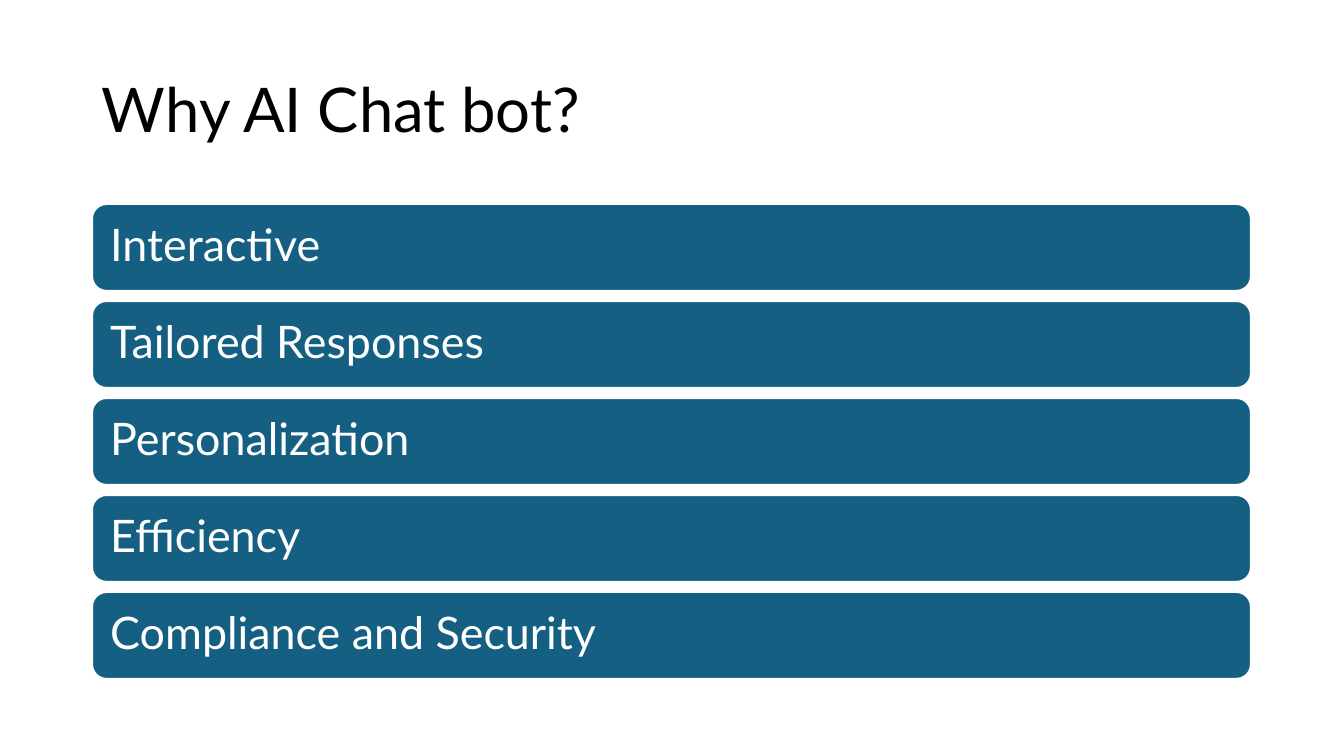
"""Build the "Why AI Chat bot?" slide with its five stacked benefit bars."""
import pptx
import pptx.dml.color
import pptx.enum.shapes
import pptx.enum.text
import pptx.util

PX = 9144000 / 1008
COLORS = {"title": "000000", "bar": "156082", "white": "FFFFFF"}
BENEFITS = [
    "Interactive",
    "Tailored Responses",
    "Personalization",
    "Efficiency",
    "Compliance and Security",
]
LEFT, WIDTH = 92, 1159
BAR_TOP, BAR_HEIGHT, BAR_STEP = 204, 87, 97


def px(n):
    return pptx.util.Emu(round(n * PX))


def write(sp, text, size, color, margin):
    tf = sp.text_frame
    tf.word_wrap = True
    tf.vertical_anchor = pptx.enum.text.MSO_ANCHOR.MIDDLE
    tf.margin_left = tf.margin_right = px(margin)
    tf.text = text
    p = tf.paragraphs[0]
    p.alignment = pptx.enum.text.PP_ALIGN.LEFT
    p.line_spacing = 0.9
    r = p.runs[0]
    r.font.name = "Lato"
    r.font.size = pptx.util.Pt(size)
    r.font.color.rgb = pptx.dml.color.RGBColor.from_string(COLORS[color])


prs = pptx.Presentation()
prs.slide_width, prs.slide_height = px(1344), px(756)
s = prs.slides.add_slide(prs.slide_layouts[6])

title = s.shapes.add_textbox(px(LEFT), px(40), px(WIDTH), px(146))
write(title, "Why AI Chat bot?", 44, "title", 10)

for i, benefit in enumerate(BENEFITS):
    bar = s.shapes.add_shape(
        pptx.enum.shapes.MSO_SHAPE.ROUNDED_RECTANGLE,
        px(LEFT), px(BAR_TOP + i * BAR_STEP), px(WIDTH), px(BAR_HEIGHT),
    )
    bar.shadow.inherit = False
    bar.fill.solid()
    bar.fill.fore_color.rgb = pptx.dml.color.RGBColor.from_string(COLORS["bar"])
    bar.line.color.rgb = pptx.dml.color.RGBColor.from_string(COLORS["white"])
    bar.line.width = pptx.util.Pt(1.5)
    write(bar, benefit, 32, "white", 14)

prs.save("out.pptx")
